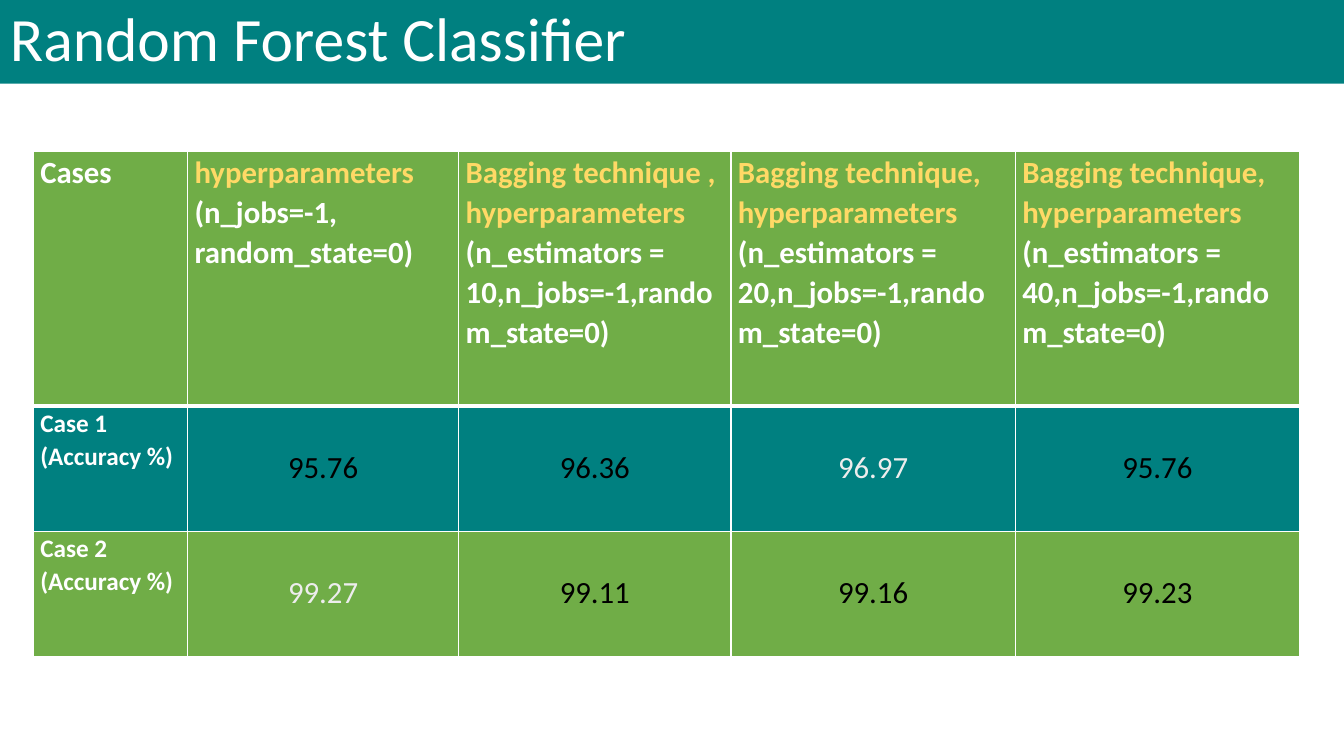
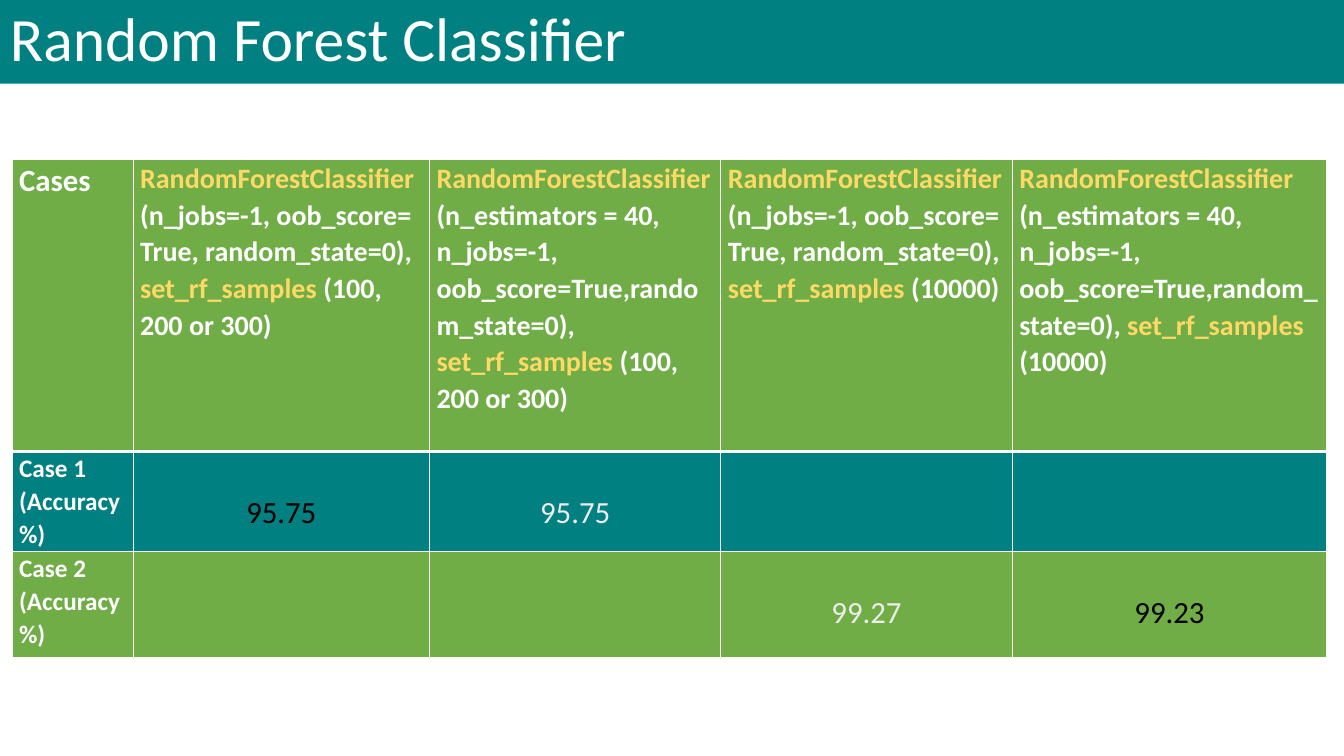
from dataclasses import dataclass

import lxml.etree
import pptx
import pptx.dml.color
import pptx.enum.shapes
import pptx.enum.text
import pptx.oxml.ns
import pptx.presentation
import pptx.slide
import pptx.table
import pptx.text.text
import pptx.util

RGBColor = pptx.dml.color.RGBColor
Inches = pptx.util.Inches
Align = pptx.enum.text.PP_ALIGN

TEAL = RGBColor(0x00, 0x80, 0x80)
GREEN = RGBColor(0x70, 0xAD, 0x47)
GOLD = RGBColor(0xFF, 0xD9, 0x66)
WHITE = RGBColor(0xFF, 0xFF, 0xFF)
BLACK = RGBColor(0x00, 0x00, 0x00)
PALE = RGBColor(0xED, 0xED, 0xED)

FONT = "Calibri"
SLIDE_WIDTH = 13.33
TITLE = "Random Forest Classifier"
CASES = ("Case 1 (Accuracy %)", "Case 2 (Accuracy %)")
CASE_FILLS = (TEAL, GREEN)
LARGE_SIZE = 22
CASE_SIZE = 18
THIN_LINE = 1
THICK_LINE = 3


@dataclass(frozen=True)
class Score:
    value: str
    best: bool = False


@dataclass(frozen=True)
class Heading:
    """Each paragraph alternates gold and white spans."""

    paragraphs: tuple[tuple[str, ...], ...]


@dataclass(frozen=True)
class ResultTable:
    left: float
    top: float
    widths: tuple[float, ...]
    heights: tuple[float, ...]
    heading_size: int
    headings: tuple[Heading, ...]
    scores: tuple[tuple[Score | None, ...], ...]


def bagging_heading(estimators: int, name: str = "Bagging technique,") -> Heading:
    settings = f"(n_estimators = {estimators},n_jobs=-1,random_state=0)"
    return Heading(((f"{name} hyperparameters ", settings),))


def sampled_heading(samples: str) -> Heading:
    return Heading((
        ("RandomForestClassifier ", "(n_jobs=-1, oob_score= True, random_state=0),"),
        ("set_rf_samples ", samples),
    ))


def sampled_forest_heading(samples: str) -> Heading:
    settings = "(n_estimators = 40, n_jobs=-1, oob_score=True,random_state=0), "
    return Heading((("RandomForestClassifier ", settings, "set_rf_samples ", samples),))


RESULTS = (
    ResultTable(
        left=0.33,
        top=1.5,
        widths=(1.53, 2.69, 2.7, 2.82, 2.82),
        heights=(2.53, 1.24, 1.24),
        heading_size=22,
        headings=(
            Heading((("hyperparameters ", "(n_jobs=-1, random_state=0)"),)),
            bagging_heading(10, "Bagging technique ,"),
            bagging_heading(20),
            bagging_heading(40),
        ),
        scores=(
            (Score("95.76"), Score("96.36"), Score("96.97", True), Score("95.76")),
            (Score("99.27", True), Score("99.11"), Score("99.16"), Score("99.23")),
        ),
    ),
    ResultTable(
        left=0.12,
        top=1.58,
        widths=(1.2, 2.94, 2.89, 2.89, 3.12),
        heights=(2.9, 0.99, 1.05),
        heading_size=20,
        headings=(
            sampled_heading("(100, 200 or 300)"),
            sampled_forest_heading("(100, 200 or 300)"),
            sampled_heading("(10000)"),
            sampled_forest_heading("(10000)"),
        ),
        scores=(
            (Score("95.75"), Score("95.75", True), None, None),
            (None, None, Score("99.27", True), Score("99.23")),
        ),
    ),
)


def style_span(span: pptx.text.text._Run, size: int, color: RGBColor, bold: bool) -> None:
    span.font.name = FONT
    span.font.size = pptx.util.Pt(size)
    span.font.bold = bold
    span.font.color.rgb = color


def add_title(page: pptx.slide.Slide) -> None:
    band = page.shapes.add_shape(
        pptx.enum.shapes.MSO_SHAPE.RECTANGLE, 0, 0, Inches(SLIDE_WIDTH), Inches(0.83)
    )
    band.shadow.inherit = False
    band.fill.solid()
    band.fill.fore_color.rgb = TEAL
    band.line.fill.background()
    band.text_frame.text = TITLE
    band.text_frame.word_wrap = True
    band.text_frame.vertical_anchor = pptx.enum.text.MSO_ANCHOR.MIDDLE
    para = band.text_frame.paragraphs[0]
    para.alignment = Align.LEFT
    para.line_spacing = 0.9
    style_span(para.runs[0], 44, WHITE, False)


def add_border(cell: pptx.table._Cell, side: str, width: float) -> None:
    properties = cell._tc.get_or_add_tcPr()
    qn = pptx.oxml.ns.qn
    line = lxml.etree.SubElement(properties, qn(f"a:ln{side}"), w=str(pptx.util.Pt(width)))
    fill = lxml.etree.SubElement(line, qn("a:solidFill"))
    lxml.etree.SubElement(fill, qn("a:srgbClr"), val=str(WHITE))


def style_cell(cell: pptx.table._Cell, row: int) -> None:
    cell.margin_left = cell.margin_right = Inches(0.07)
    cell.margin_top = cell.margin_bottom = 0
    top = THICK_LINE if row == 1 else THIN_LINE
    bottom = THICK_LINE if row == 0 else THIN_LINE
    for side, width in (("L", THIN_LINE), ("R", THIN_LINE), ("T", top), ("B", bottom)):
        add_border(cell, side, width)
    cell.fill.solid()
    cell.fill.fore_color.rgb = GREEN if row == 0 else CASE_FILLS[row - 1]


def write_label(cell: pptx.table._Cell, text: str, size: int) -> None:
    cell.text_frame.text = text
    para = cell.text_frame.paragraphs[0]
    para.line_spacing = 1.07
    style_span(para.runs[0], size, WHITE, True)


def write_heading(cell: pptx.table._Cell, heading: Heading, size: int) -> None:
    frame = cell.text_frame
    for number, texts in enumerate(heading.paragraphs):
        para = frame.add_paragraph() if number else frame.paragraphs[0]
        para.line_spacing = 1.07
        for index, text in enumerate(texts):
            span = para.add_run()
            span.text = text
            style_span(span, size, WHITE if index % 2 else GOLD, True)


def write_score(cell: pptx.table._Cell, score: Score) -> None:
    cell.margin_top = Inches(0.4)
    cell.text_frame.text = score.value
    para = cell.text_frame.paragraphs[0]
    para.alignment = Align.CENTER
    para.line_spacing = 1.07
    style_span(para.runs[0], LARGE_SIZE, PALE if score.best else BLACK, False)


def add_results(page: pptx.slide.Slide, result: ResultTable) -> None:
    table = page.shapes.add_table(
        len(result.heights),
        len(result.widths),
        Inches(result.left),
        Inches(result.top),
        Inches(sum(result.widths)),
        Inches(sum(result.heights)),
    ).table
    table.first_row = table.horz_banding = False
    for column, width in zip(table.columns, result.widths):
        column.width = Inches(width)
    for index, (row, height) in enumerate(zip(table.rows, result.heights)):
        row.height = Inches(height)
        for cell in row.cells:
            style_cell(cell, index)

    write_label(table.cell(0, 0), "Cases", LARGE_SIZE)
    for column, heading in enumerate(result.headings, 1):
        write_heading(table.cell(0, column), heading, result.heading_size)
    for row, (case, scores) in enumerate(zip(CASES, result.scores), 1):
        write_label(table.cell(row, 0), case, CASE_SIZE)
        for column, score in enumerate(scores, 1):
            if score is not None:
                write_score(table.cell(row, column), score)


def main() -> None:
    deck = pptx.Presentation()
    deck.slide_width = Inches(SLIDE_WIDTH)
    deck.slide_height = Inches(7.5)
    for result in RESULTS:
        page = deck.slides.add_slide(deck.slide_layouts[6])
        add_title(page)
        add_results(page, result)
    deck.save("out.pptx")


if __name__ == "__main__":
    main()
